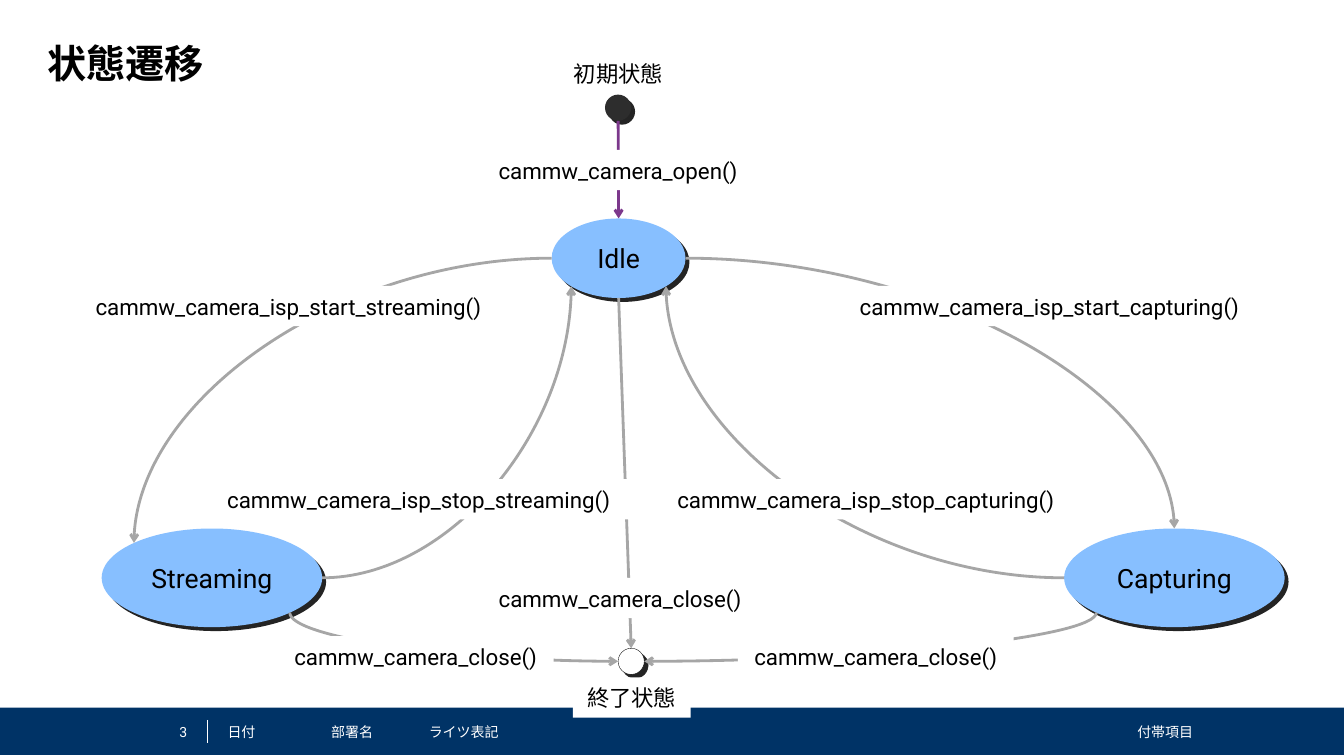
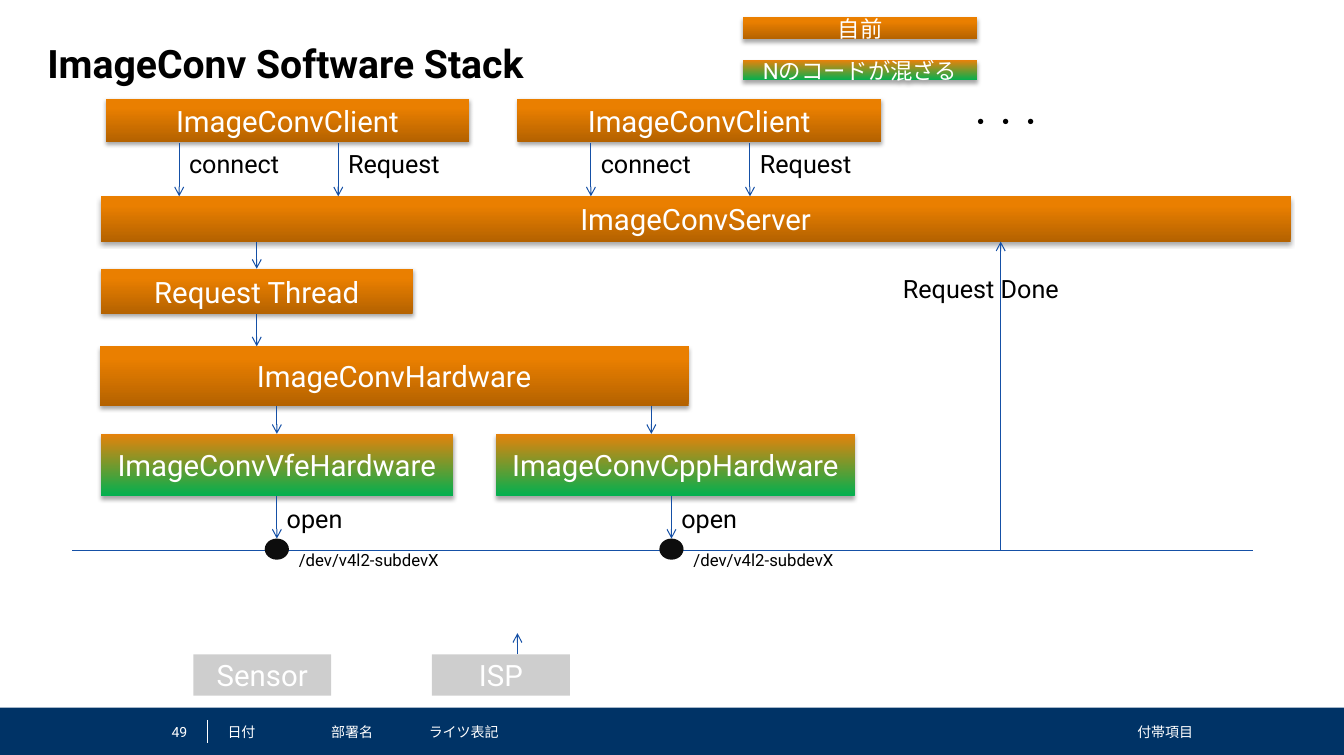
import math
import pptx
import pptx.util
import pptx.dml.color
import pptx.enum.shapes
import pptx.enum.text
import pptx.oxml.ns
from lxml import etree

WIDTH, HEIGHT = 13.35, 7.5
FONT = "Roboto"
WHITE, BLACK, NAVY = "FFFFFF", "000000", "003366"
SKY, DOT, GREY, PURPLE = "87BFFF", "2D2D2D", "A6A6A6", "7C388C"
BLUE, INK = "1550A6", "0D0D0D"
OWN = [("B46200", 0), ("EA7F00", 0.8)]
MIXED = [("00B050", 0), ("E6820B", 1)]
HARD_SHADOW = (85, 0, 4, 45)
SOFT_SHADOW = (35, 3.1, 1.8, 90)

Shape = pptx.enum.shapes.MSO_SHAPE
Connector = pptx.enum.shapes.MSO_CONNECTOR
Align = pptx.enum.text.PP_ALIGN
Anchor = pptx.enum.text.MSO_ANCHOR
inches = pptx.util.Inches
qn = pptx.oxml.ns.qn

FOOTER = [
    ("日付", 2.26, 0.85, Align.LEFT),
    ("部署名", 3.29, 0.9, Align.LEFT),
    ("ライツ表記", 4.26, 4.34, Align.LEFT),
    ("付帯項目", 8.78, 3.07, Align.RIGHT),
]

STATES = {
    "Idle": ((5.48, 2.17, 1.33, 0.79), SKY, "Idle"),
    "start": ((6.01, 0.94, 0.26, 0.26), DOT, ""),
    "Streaming": ((1.01, 5.25, 2.19, 0.98), SKY, "Streaming"),
    "Capturing": ((10.57, 5.25, 2.19, 0.98), SKY, "Capturing"),
    "end": ((6.14, 6.44, 0.26, 0.26), WHITE, ""),
}
DIAGONAL = math.sqrt(0.5)
SIDES = {
    "N": (0, -1), "S": (0, 1), "W": (-1, 0), "E": (1, 0),
    "NW": (-DIAGONAL, -DIAGONAL), "NE": (DIAGONAL, -DIAGONAL),
    "SW": (-DIAGONAL, DIAGONAL), "SE": (DIAGONAL, DIAGONAL),
}
TRANSITIONS = [
    ("Idle", "W", "Streaming", "NW", GREY),
    ("Streaming", "E", "Idle", "SW", GREY),
    ("Capturing", "W", "Idle", "SE", GREY),
    ("Idle", "E", "Capturing", "N", GREY),
    ("start", "S", "Idle", "N", PURPLE),
    ("Idle", "S", "end", "N", GREY),
    ("Capturing", "SW", "end", "E", GREY),
    ("Streaming", "SE", "end", "W", GREY),
]
CALLS = [
    ("cammw_camera_isp_start_capturing()", 8.36, 2.84, 4.13),
    ("cammw_camera_isp_start_streaming()", 0.77, 2.84, 4.19),
    ("cammw_camera_isp_stop_streaming()", 2.07, 4.76, 4.18),
    ("cammw_camera_isp_stop_capturing()", 6.54, 4.76, 4.12),
    ("cammw_camera_open()", 4.77, 1.49, 2.74),
    ("cammw_camera_close()", 2.76, 6.32, 2.74),
    ("cammw_camera_close()", 7.33, 6.32, 2.74),
    ("cammw_camera_close()", 4.79, 5.74, 2.74),
    ("初期状態", 5.56, 0.53, 1.17),
    ("終了状態", 5.69, 6.73, 1.17),
]

CLIENT_LEFTS = (1.05, 5.14)
CLIENT_TOP, CLIENT_BOTTOM, SERVER_TOP = 0.98, 1.42, 1.95
CLIENT_CALLS = [("connect", 0.73, 1.13), ("Request", 2.31, 1.16)]
BLOCKS = [
    ("ImageConvServer", (1, SERVER_TOP, 11.82, 0.45), OWN, 21),
    ("Request Thread", (1, 2.67, 3.1, 0.45), OWN, 21),
    ("ImageConvHardware", (0.99, 3.44, 5.85, 0.59), OWN, 21),
    ("ImageConvVfeHardware", (1, 4.31, 3.5, 0.62), MIXED, 21),
    ("ImageConvCppHardware", (4.93, 4.31, 3.56, 0.62), MIXED, 21),
    ("自前", (7.38, 0.17, 2.33, 0.22), OWN, 16),
    ("Nのコードが混ざる", (7.38, 0.6, 2.33, 0.2), MIXED, 16),
]
HARDWARE_PARTS = [("Sensor", 1.92), ("ISP", 4.29)]
DEVICE_LINE = 5.47
DEVICE_COLUMNS = (2.75, 6.67)
ARROWS = [
    ((2.55, 2.4), (2.55, 2.67), None, ("Request Thread", 0)),
    ((2.55, 3.12), (2.55, 3.44), ("Request Thread", 2), None),
    ((2.75, 4.03), (2.75, 4.31), None, ("ImageConvVfeHardware", 0)),
    ((6.47, 4.03), (6.47, 4.31), None, None),
    ((2.75, 4.93), (2.75, 5.35), ("ImageConvVfeHardware", 2), None),
    ((6.67, 4.93), (6.67, 5.35), None, None),
    ((5.14, 6.5), (5.14, 6.29), None, None),
    ((9.94, DEVICE_LINE), (9.94, 2.4), None, None),
]


def color(value):
    return pptx.dml.color.RGBColor.from_string(value)


def write(shape, text, size, font_color=BLACK, align=Align.CENTER,
          anchor=Anchor.MIDDLE, insets=(0.1, 0.05), bold=False):
    frame = shape.text_frame
    frame.word_wrap = False
    frame.vertical_anchor = anchor
    frame.margin_left = frame.margin_right = inches(insets[0])
    frame.margin_top = frame.margin_bottom = inches(insets[1])
    paragraph = frame.paragraphs[0]
    paragraph.text = text
    paragraph.alignment = align
    paragraph.font.name = FONT
    paragraph.font.size = pptx.util.Pt(size)
    paragraph.font.bold = bold
    paragraph.font.color.rgb = color(font_color)


def add_text(slide, box, text, size, **style):
    shape = slide.shapes.add_textbox(*map(inches, box))
    write(shape, text, size, **style)
    return shape


def add_label(slide, left, top, width, text, size=18, height=0.4):
    add_text(slide, (left, top, width, height), text, size,
             align=Align.LEFT, anchor=Anchor.TOP)


def add_shadow(shape, alpha, blur, distance, angle):
    effects = shape._element.spPr.find(qn("a:effectLst"))
    shadow = etree.SubElement(
        effects, qn("a:outerShdw"), blurRad=str(pptx.util.Pt(blur)),
        dist=str(pptx.util.Pt(distance)), dir=str(angle * 60000),
        algn="ctr", rotWithShape="0")
    tint = etree.SubElement(shadow, qn("a:srgbClr"), val=BLACK)
    etree.SubElement(tint, qn("a:alpha"), val=str(alpha * 1000))


def add_block(slide, kind, box, fill, shadow=None, alpha=None):
    shape = slide.shapes.add_shape(kind, *map(inches, box))
    shape.line.fill.background()
    shape.shadow.inherit = False
    if isinstance(fill, list):
        shape.fill.gradient()
        shape.fill.gradient_angle = 90
        for stop, (value, position) in zip(shape.fill.gradient_stops, fill):
            stop.color.rgb = color(value)
            stop.position = position
    else:
        shape.fill.solid()
        shape.fill.fore_color.rgb = color(fill)
    if alpha:
        tint = shape._element.spPr.find(qn("a:solidFill"))[0]
        etree.SubElement(tint, qn("a:alpha"), val=str(alpha * 1000))
    if shadow:
        add_shadow(shape, *shadow)
    return shape


def add_line(slide, begin, end, line_color, width, arrow=None, curved=False):
    kind = Connector.CURVE if curved else Connector.STRAIGHT
    connector = slide.shapes.add_connector(kind, *map(inches, begin + end))
    connector.line.color.rgb = color(line_color)
    connector.line.width = pptx.util.Pt(width)
    properties = connector._element.spPr
    if curved:
        properties.find(qn("a:prstGeom")).set("prst", "curvedConnector2")
    if arrow:
        etree.SubElement(properties.find(qn("a:ln")), qn("a:" + arrow), type="arrow")
    etree.SubElement(properties, qn("a:effectLst"))
    return connector


def add_base(presentation, title, number):
    slide = presentation.slides.add_slide(presentation.slide_layouts[6])
    add_block(slide, Shape.RECTANGLE, (0, 7.03, WIDTH, HEIGHT - 7.03), NAVY)
    add_line(slide, (2.06, 7.15), (2.06, 7.38), WHITE, 0.25)
    for text, left, width, align in FOOTER + [(number, 1.55, 0.31, Align.RIGHT)]:
        add_text(slide, (left, 7.15, width, 0.24), text, 10,
                 font_color=WHITE, align=align, insets=(0, 0))
    add_text(slide, (0.47, 0.39, 12.4, 0.59), title, 28, align=Align.LEFT,
             anchor=Anchor.TOP, insets=(0, 0), bold=True)
    return slide


def rim_point(state, side):
    left, top, width, height = STATES[state][0]
    across, down = SIDES[side]
    return (left + width * (1 + across) / 2, top + height * (1 + down) / 2)


def build_states(presentation):
    slide = add_base(presentation, "状態遷移", "3")
    for box, fill, name in STATES.values():
        shape = add_block(slide, Shape.OVAL, box, fill, HARD_SHADOW)
        if name:
            write(shape, name, 19, insets=(0.13, 0.07))
        if fill == WHITE:
            shape.line.color.rgb = color(BLACK)
            shape.line.width = pptx.util.Pt(0.25)
    for source, source_side, target, target_side, line_color in TRANSITIONS:
        begin, end = rim_point(source, source_side), rim_point(target, target_side)
        curved = source_side != "S"
        arrow = "tailEnd"
        if len(source_side) == 2:
            begin, end, arrow = end, begin, "headEnd"
        add_line(slide, begin, end, line_color, 2, arrow, curved)
    for text, left, top, width in CALLS:
        label = add_block(slide, Shape.RECTANGLE, (left, top, width, 0.4), WHITE)
        write(label, text, 16, anchor=Anchor.TOP, insets=(0.13, 0.07))


def build_stack(presentation):
    slide = add_base(presentation, "ImageConv Software Stack", "49")
    add_line(slide, (0.72, DEVICE_LINE), (12.45, DEVICE_LINE), BLUE, 0.75)
    clients = [("ImageConvClient", (left, CLIENT_TOP, 3.61, 0.43), OWN, 21)
               for left in CLIENT_LEFTS]
    blocks = {}
    for name, box, fill, size in clients + BLOCKS:
        blocks[name] = add_block(slide, Shape.RECTANGLE, box, fill, SOFT_SHADOW)
        write(blocks[name], name, size, WHITE)
    for name, left in HARDWARE_PARTS:
        part = add_block(slide, Shape.RECTANGLE, (left, 6.5, 1.37, 0.41), INK, alpha=20)
        write(part, name, 21, WHITE)
    for begin, end, source, target in ARROWS:
        arrow = add_line(slide, begin, end, BLUE, 0.75, "tailEnd")
        if source:
            arrow.begin_connect(blocks[source[0]], source[1])
        if target:
            arrow.end_connect(blocks[target[0]], target[1])
    for left in CLIENT_LEFTS:
        for text, offset, width in CLIENT_CALLS:
            column = left + offset
            add_line(slide, (column, CLIENT_BOTTOM), (column, SERVER_TOP),
                     BLUE, 0.75, "tailEnd")
            add_label(slide, column, CLIENT_BOTTOM, width, text)
    for column in DEVICE_COLUMNS:
        add_block(slide, Shape.OVAL, (column - 0.12, 5.35, 0.24, 0.21), INK)
        add_label(slide, column, 4.95, 0.8, "open")
        add_label(slide, column + 0.12, 5.41, 1.7, "/dev/v4l2-subdevX", 12, 0.3)
    add_label(slide, 9.52, 1.01, 0.96, "・・・")
    add_label(slide, 8.87, 2.67, 1.85, "Request Done")


def main():
    presentation = pptx.Presentation()
    presentation.slide_width = inches(WIDTH)
    presentation.slide_height = inches(HEIGHT)
    build_states(presentation)
    build_stack(presentation)
    presentation.save("out.pptx")


if __name__ == "__main__":
    main()
